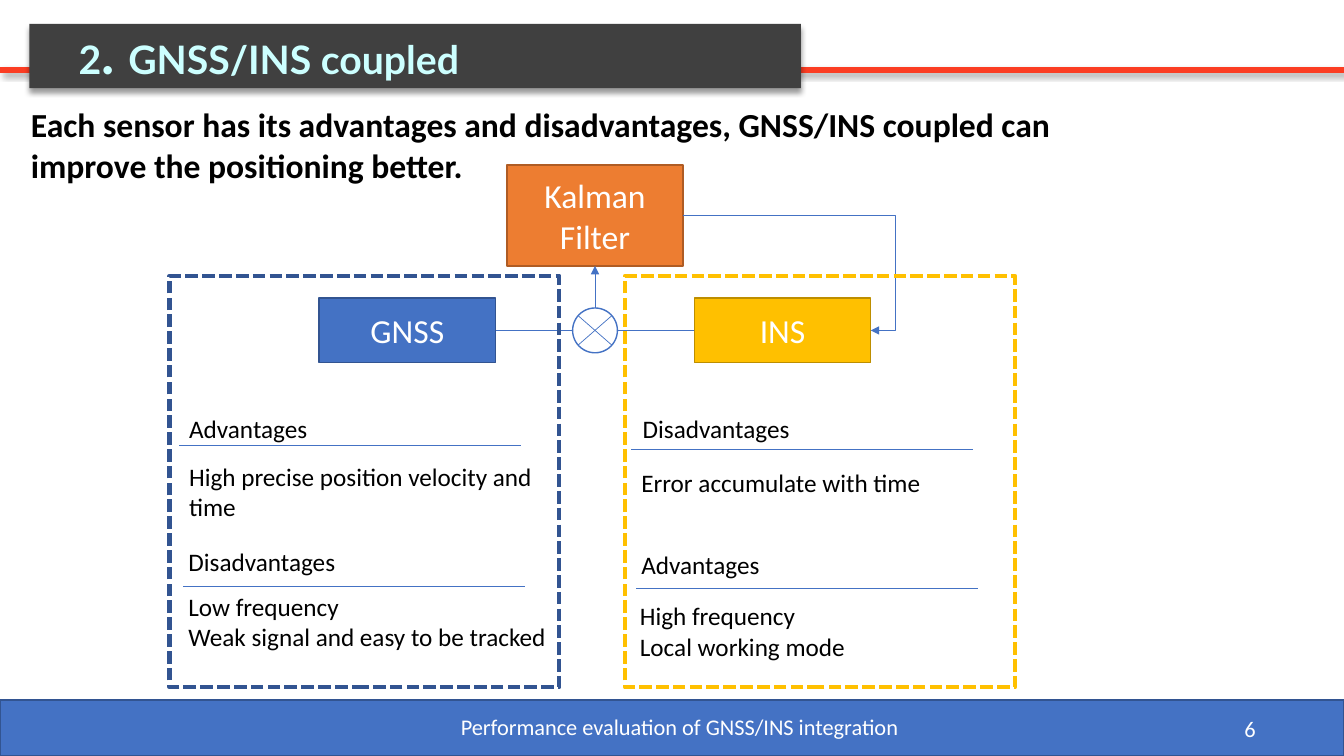
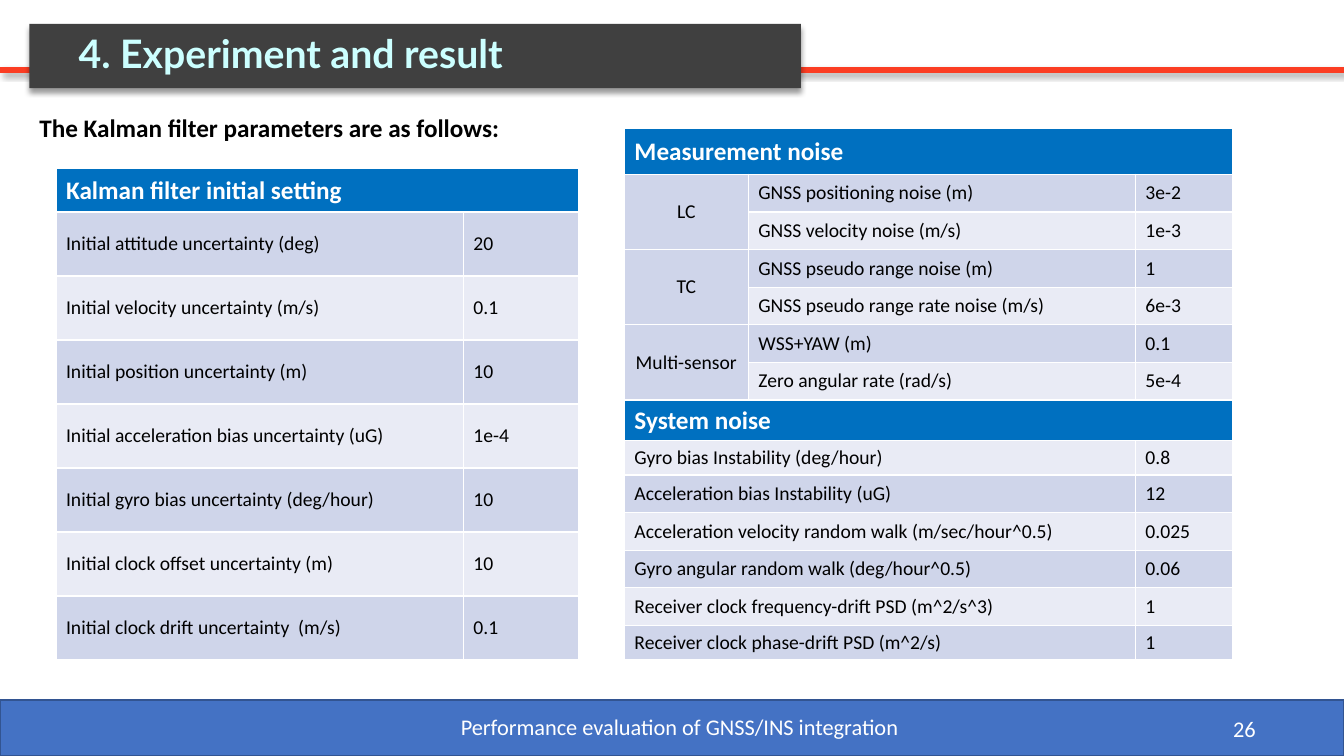
import pptx
import pptx.dml.color
import pptx.enum.dml
import pptx.enum.shapes
import pptx.enum.text
import pptx.oxml.ns
import pptx.util
from lxml import etree

Pt = pptx.util.Pt
qn = pptx.oxml.ns.qn
Shape = pptx.enum.shapes.MSO_SHAPE
Link = pptx.enum.shapes.MSO_CONNECTOR
Align = pptx.enum.text.PP_ALIGN
Anchor = pptx.enum.text.MSO_ANCHOR

WIDE, HIGH = 960, 540
FOOT = "Performance evaluation of GNSS/INS integration"
HUES = {
    "red": "FB3D23", "dark": "404040", "mint": "CCFFFF", "blue": "4472C4",
    "navy": "325491", "gold": "FFC000", "brass": "BD8E00", "orange": "ED7D31",
    "rust": "AF5C24", "head": "0070C0", "odd": "CFD5EA", "even": "E9EBF5",
    "black": "000000", "white": "FFFFFF",
}
FORMS = {
    "title": {"name": "Lato", "size": Pt(28), "bold": True},
    "dot": {"name": "Lato", "size": Pt(40), "bold": True},
    "lead": {"name": "Calibri", "size": Pt(24), "bold": True},
    "head": {"name": "Calibri", "size": Pt(18), "bold": True},
    "node": {"name": "Calibri", "size": Pt(24), "bold": False},
    "body": {"name": "Calibri", "size": Pt(18), "bold": False},
    "foot": {"name": "Calibri", "size": Pt(16), "bold": False},
    "cell": {"name": "Calibri", "size": Pt(14), "bold": False},
}


def rgb(hue):
    return pptx.dml.color.RGBColor.from_string(HUES[hue])


class Deck:
    def __init__(self):
        self.show = pptx.Presentation()
        self.show.slide_width = Pt(WIDE)
        self.show.slide_height = Pt(HIGH)
        self.slide = None

    def dress(self, font, form, hue):
        for key, value in FORMS[form].items():
            setattr(font, key, value)
        font.color.rgb = rgb(hue)

    def words(self, frame, text, form, hue, align=Align.LEFT, space=1.0):
        for i, line in enumerate(text.split("\n")):
            para = frame.paragraphs[0] if i == 0 else frame.add_paragraph()
            para.alignment = align
            para.line_spacing = space
            run = para.add_run()
            run.text = line
            self.dress(run.font, form, hue)

    def shade(self, shape, angle):
        effects = shape.element.spPr.find(qn("a:effectLst"))
        cast = etree.SubElement(effects, qn("a:outerShdw"), blurRad=str(Pt(4)),
                                dist=str(Pt(3)), dir=str(angle * 60000),
                                algn="ctr", rotWithShape="0")
        tint = etree.SubElement(cast, qn("a:srgbClr"), val=HUES["black"])
        etree.SubElement(tint, qn("a:alpha"), val="40000")

    def box(self, place, fill=None, edge=None, width=1, dash=None,
            kind=Shape.RECTANGLE, text=None):
        shape = self.slide.shapes.add_shape(kind, *map(Pt, place))
        shape.shadow.inherit = False
        if fill:
            shape.fill.solid()
            shape.fill.fore_color.rgb = rgb(fill)
        else:
            shape.fill.background()
        shape.line.color.rgb = rgb(edge)
        shape.line.width = Pt(width)
        if dash:
            shape.line.dash_style = dash
        if text:
            frame = shape.text_frame
            frame.word_wrap = True
            frame.vertical_anchor = Anchor.MIDDLE
            self.words(frame, text, "node", "white", Align.CENTER)

    def text(self, place, text, form="body", hue="black", align=Align.LEFT,
             anchor=Anchor.TOP, space=1.0):
        frame = self.slide.shapes.add_textbox(*map(Pt, place)).text_frame
        frame.word_wrap = True
        frame.vertical_anchor = anchor
        self.words(frame, text, form, hue, align, space)

    def link(self, start, end, hue="blue", width=0.5, arrow=False, bend=None):
        kind = Link.STRAIGHT if bend is None else Link.ELBOW
        line = self.slide.shapes.add_connector(kind, *map(Pt, start + end))
        line.line.color.rgb = rgb(hue)
        line.line.width = Pt(width)
        props = line.element.spPr
        if arrow:
            etree.SubElement(props.find(qn("a:ln")), qn("a:tailEnd"), type="triangle")
        if bend is not None:
            geom = props.find(qn("a:prstGeom"))
            guides = geom.find(qn("a:avLst"))
            if guides is None:
                guides = etree.SubElement(geom, qn("a:avLst"))
            etree.SubElement(guides, qn("a:gd"), name="adj1",
                             fmla=f"val {round(bend * 100000)}")
        etree.SubElement(props, qn("a:effectLst"))
        return line

    def page(self, parts, number):
        self.slide = self.show.slides.add_slide(self.show.slide_layouts[5])
        title = self.slide.shapes.title
        title.left, title.top, title.width, title.height = map(Pt, (21, 17, 551, 46))
        title.fill.solid()
        title.fill.fore_color.rgb = rgb("dark")
        title.line.fill.background()
        title.shadow.inherit = False
        self.shade(title, 90)
        frame = title.text_frame
        frame.auto_size = pptx.enum.text.MSO_AUTO_SIZE.NONE
        frame.vertical_anchor = Anchor.MIDDLE
        frame.margin_left = Pt(35.2)
        for text, form in parts:
            self.words(frame, text, form, "mint", space=0.9)
        rule = self.link((0, 50), (WIDE, 50), "red", 4.5)
        self.shade(rule, 45)
        title.element.addprevious(rule.element)
        self.box((0, 500, WIDE, 40), "blue", "navy")
        self.text((318, 500, 335, 38), FOOT, "foot", "white", Align.CENTER, Anchor.MIDDLE)
        self.text((688, 506, 216, 29), number, "foot", "white", Align.RIGHT, Anchor.MIDDLE)

    def table(self, left, top, cols, highs, rows):
        shape = self.slide.shapes.add_table(len(rows), len(cols), Pt(left), Pt(top),
                                            Pt(sum(cols)), Pt(sum(highs)))
        grid = shape.table
        grid.horz_banding = False
        for col, width in zip(grid.columns, cols):
            col.width = Pt(width)
        for row, high in zip(grid.rows, highs):
            row.height = Pt(high)
        for r, row in enumerate(rows):
            head = not any(row[1:])
            for c, text in enumerate(row):
                cell = grid.cell(r, c)
                cell.fill.solid()
                cell.fill.fore_color.rgb = rgb("head" if head else ("even", "odd")[r % 2])
                if text is None:
                    continue
                right, down = c, r
                while right + 1 < len(row) and row[right + 1] is None:
                    right += 1
                while c == 0 and down + 1 < len(rows) and rows[down + 1][0] is None:
                    down += 1
                if (right, down) != (c, r):
                    cell.merge(grid.cell(down, right))
                cell.vertical_anchor = Anchor.MIDDLE
                self.words(cell.text_frame, text, "head" if head else "cell",
                           "white" if head else "black",
                           Align.CENTER if down > r else Align.LEFT)


def couple(deck):
    deck.page([("2", "title"), (". ", "dot"), ("GNSS/INS coupled", "title")], "6")
    mid, axis, ring = 425, 236, 16
    deck.box((228, axis - 23, 126, 46), "blue", "navy", text="GNSS")
    deck.box((496, axis - 23, 126, 46), "gold", "brass", text="INS")
    deck.box((362, 118, 126, 72), "orange", "rust", text="Kalman Filter")
    deck.link((488, 154), (622, axis), arrow=True, bend=1.13)
    for side in (-1, 1):
        deck.link((mid - 12, axis + side * 10.5), (mid + 12, axis - side * 10.5))
    deck.box((mid - ring, axis - ring, 2 * ring, 2 * ring), None, "blue", kind=Shape.OVAL)
    deck.link((354, axis), (mid - ring, axis))
    deck.link((496, axis), (mid + ring, axis))
    deck.link((mid, axis - ring), (mid, 190), arrow=True)

    notes = [
        ("Advantages", 128, 294, 128, 318, 128, 326,
         "High precise position velocity and time"),
        ("Disadvantages", 127.5, 389, 131, 418.5, 127.5, 418.5,
         "Low frequency\nWeak signal and easy to be tracked"),
        ("Disadvantages", 452, 294, 451, 321, 451, 330,
         "Error accumulate with time"),
        ("Advantages", 451, 391, 454.5, 420, 450, 425.5,
         "High frequency\nLocal working mode"),
    ]
    for label, x, y, start, rule, left, top, text in notes:
        deck.text((x, y, 126, 30), label, space=0.9)
        deck.link((start, rule), (start + 244, rule))
        deck.text((left, top, 274, 51), text)
    for left, hue in ((121, "navy"), (446.5, "gold")):
        deck.box((left, 197, 278.5, 294), None, hue, 3,
                 pptx.enum.dml.MSO_LINE.SQUARE_DOT)
    deck.text((15, 71, 820, 66),
              "Each sensor has its advantages and disadvantages, "
              "GNSS/INS coupled can improve the positioning better.", "lead")


def result(deck):
    deck.page([("4. Experiment and result", "title")], "26")
    deck.text((21, 77, 924, 29), "The Kalman filter parameters are as follows:", "head")
    noise = [
        ["Measurement noise", None, None],
        ["LC", "GNSS positioning noise (m)", "3e-2"],
        [None, "GNSS velocity noise (m/s)", "1e-3"],
        ["TC", "GNSS pseudo range noise (m)", "1"],
        [None, "GNSS pseudo range rate noise (m/s)", "6e-3"],
        ["Multi-sensor", "WSS+YAW (m)", "0.1"],
        [None, "Zero angular rate (rad/s)", "5e-4"],
        ["System noise", None, None],
        ["Gyro bias Instability (deg/hour)", None, "0.8"],
        ["Acceleration bias Instability (uG)", None, "12"],
        ["Acceleration velocity random walk (m/sec/hour^0.5)", None, "0.025"],
        ["Gyro angular random walk (deg/hour^0.5)", None, "0.06"],
        ["Receiver clock frequency-drift PSD (m^2/s^3)", None, "1"],
        ["Receiver clock phase-drift PSD (m^2/s)", None, "1"],
    ]
    highs = [32.5] + [26.9] * 6 + [29.2, 24.3] + [26.9] * 4 + [24.3]
    deck.table(446, 92, (88.5, 276.5, 69.5), highs, noise)
    setup = [
        ["Kalman filter initial setting", None],
        ["Initial attitude uncertainty (deg)", "20"],
        ["Initial velocity uncertainty (m/s)", "0.1"],
        ["Initial position uncertainty (m)", "10"],
        ["Initial acceleration bias uncertainty (uG)", "1e-4"],
        ["Initial gyro bias uncertainty (deg/hour)", "10"],
        ["Initial clock offset uncertainty (m)", "10"],
        ["Initial clock drift uncertainty  (m/s)", "0.1"],
    ]
    deck.table(40, 120.5, (291, 82.5), [31] + [45.7] * 7, setup)


def main():
    deck = Deck()
    couple(deck)
    result(deck)
    deck.show.save("out.pptx")


if __name__ == "__main__":
    main()
